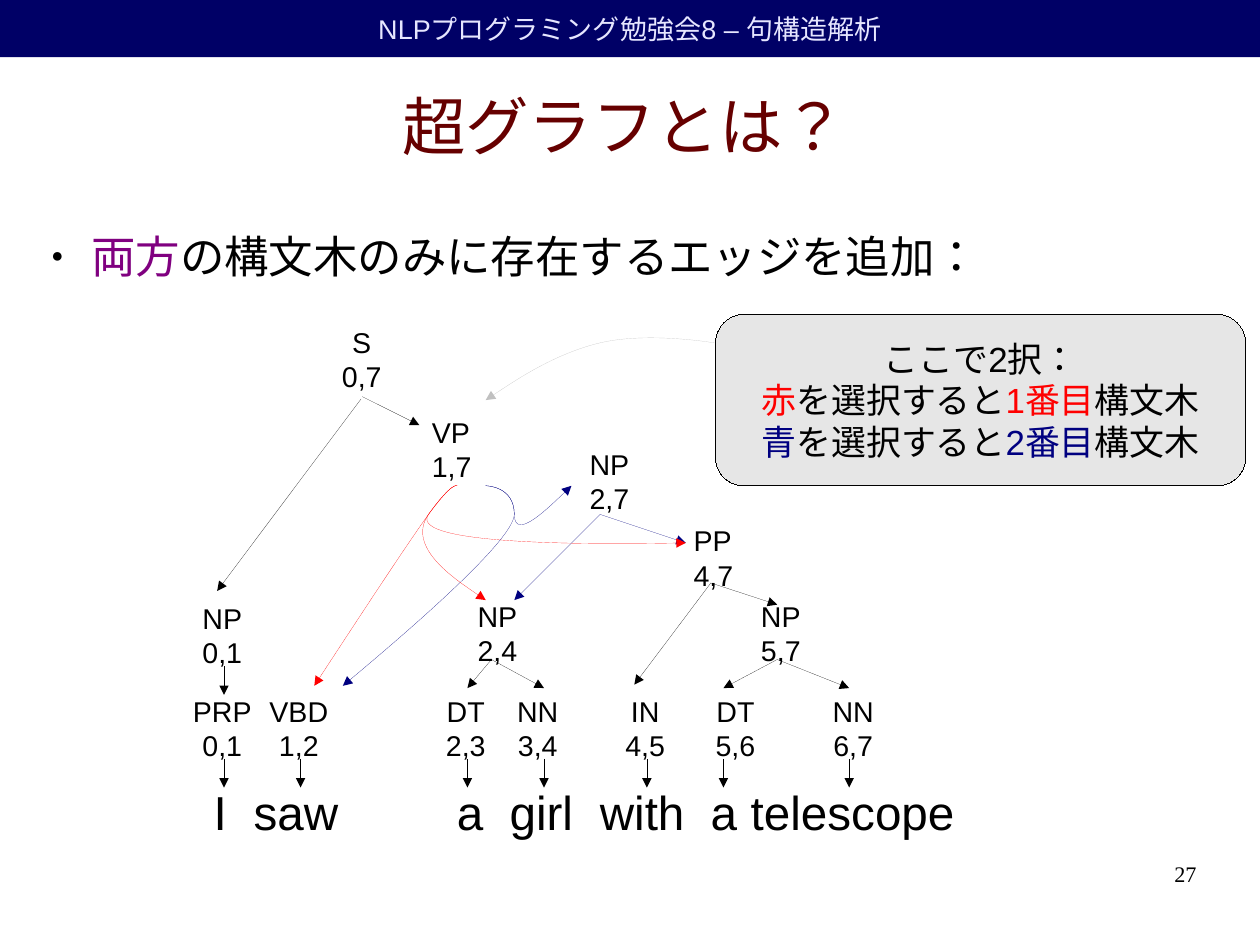
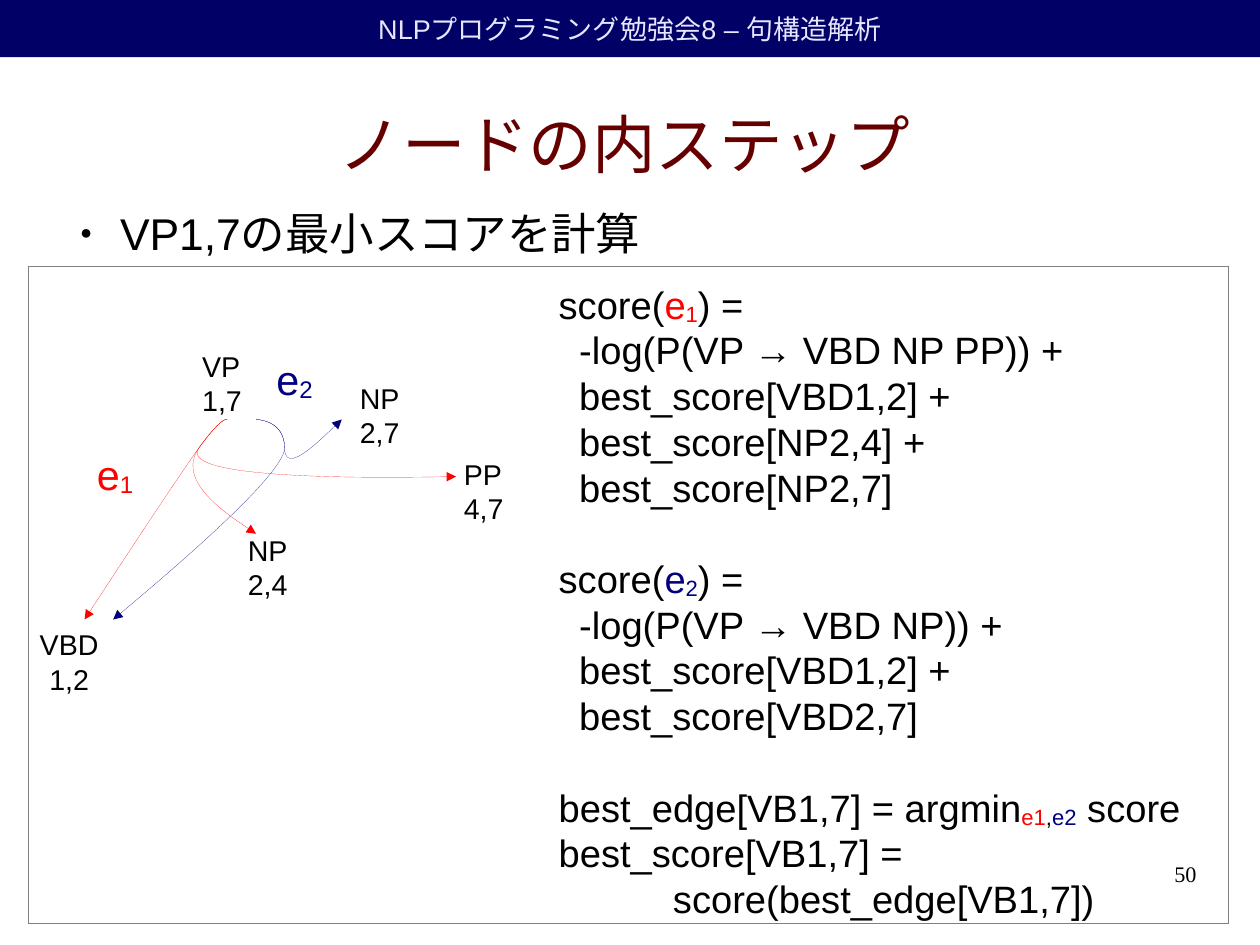
from dataclasses import dataclass
from typing import NamedTuple

from lxml.etree import SubElement
from pptx import Presentation
from pptx.dml.color import RGBColor
from pptx.enum.lang import MSO_LANGUAGE_ID
from pptx.enum.shapes import MSO_CONNECTOR, MSO_SHAPE
from pptx.enum.text import MSO_ANCHOR, MSO_AUTO_SIZE, PP_ALIGN
from pptx.oxml.ns import qn
from pptx.util import Emu, Pt

EMU_PER_PX = 9144
SLIDE_WIDTH, SLIDE_HEIGHT = Emu(10080625), Emu(7559675)


@dataclass(frozen=True)
class Theme:
    font: str = "Arial"
    number_font: str = "Times New Roman"
    black: str = "000000"
    red: str = "FF0000"
    navy: str = "000080"
    purple: str = "800080"
    silver: str = "C0C0C0"
    gray: str = "808080"
    pale: str = "E6E6E6"
    band: str = "000066"
    band_text: str = "E6E6FF"
    title: str = "660000"
    title_size: int = 40
    sentence_size: int = 30
    body_size: int = 28
    edge_name_size: int = 26
    code_size: int = 24
    callout_size: int = 22
    node_size: int = 18
    band_size: int = 17
    number_size: int = 14


THEME = Theme()


class Box(NamedTuple):
    left: int
    top: int
    width: int
    height: int


class Span(NamedTuple):
    text: str
    color: str | None = None
    subscript: bool = False


class Line(NamedTuple):
    spans: list[Span]
    indent: int = 0
    new_block: bool = False


class Node(NamedTuple):
    label: str
    extent: str
    left: int
    top: int
    align: PP_ALIGN = PP_ALIGN.CENTER


class Arrow(NamedTuple):
    start: tuple[int, int]
    tip: tuple[int, int]
    color: str = THEME.black


class Curve(NamedTuple):
    """Two joined Bezier halves that meet at middle."""
    color: str
    start: tuple[int, int]
    control_in: tuple[int, int]
    middle: tuple[int, int]
    control_out: tuple[int, int]
    tip: tuple[int, int]


LEFT = PP_ALIGN.LEFT
RED_START = ((400, 425), (396, 421), (375, 450))
BLUE_START = ((425, 425), (450, 425), (450, 450))
HYPEREDGES = [
    Curve(THEME.navy, *BLUE_START, (450, 475), (300, 600)),
    Curve(THEME.red, *RED_START, (354, 479), (275, 600)),
    Curve(THEME.red, *RED_START, (354, 480), (425, 525)),
    Curve(THEME.red, *RED_START, (354, 480), (600, 475)),
    Curve(THEME.navy, *BLUE_START, (450, 475), (500, 425)),
]
HYPEREDGE_NODES = [
    Node("VBD", "1,2", 226, 602),
    Node("NP", "2,4", 408, 519, LEFT),
    Node("PP", "4,7", 597, 453, LEFT),
    Node("VP", "1,7", 368, 358, LEFT),
    Node("NP", "2,7", 506, 386, LEFT),
]
TREE_NODES = [
    Node("PRP", "0,1", 159, 602),
    Node("DT", "2,3", 380, 602),
    Node("NN", "3,4", 443, 602),
    Node("IN", "4,5", 537, 602),
    Node("DT", "5,6", 616, 602),
    Node("NN", "6,7", 719, 602),
    Node("NP", "5,7", 656, 519, LEFT),
    Node("S", "0,7", 289, 279),
    Node("NP", "0,1", 167, 521),
]
WORD_ARROWS = [Arrow((x, 664), (x, 689)) for x in (196, 263, 409, 476, 566, 633, 743)]
TREE_ARROWS = [
    Arrow((680, 577), (633, 602)),
    Arrow((680, 577), (743, 602)),
    Arrow((430, 577), (409, 602)),
    Arrow((430, 577), (476, 602)),
    Arrow((622, 510), (555, 599)),
    Arrow((622, 510), (680, 529)),
    Arrow((317, 347), (367, 372)),
    Arrow((316, 349), (190, 517)),
    Arrow((196, 583), (196, 608)),
    Arrow((525, 450), (600, 475), THEME.navy),
    Arrow((525, 450), (450, 525), THEME.navy),
]


def px(count: int) -> Emu:
    return Emu(count * EMU_PER_PX)


def rgb(color: str) -> RGBColor:
    return RGBColor.from_string(color)


def place(shape, box: Box) -> None:
    shape.left, shape.top, shape.width, shape.height = map(px, box)


def write(frame, lines: list[Line], *, size: int, color: str = THEME.black,
          font: str = THEME.font, align: PP_ALIGN = LEFT, wrap: bool = False,
          inset: bool = True, anchor: MSO_ANCHOR = MSO_ANCHOR.TOP,
          leading: float | None = 1.2) -> None:
    frame.word_wrap = wrap
    frame.auto_size = MSO_AUTO_SIZE.NONE
    frame.vertical_anchor = anchor
    frame.margin_left = frame.margin_right = px(10 if inset else 0)
    frame.margin_top = frame.margin_bottom = px(5 if inset else 0)
    for index, line in enumerate(lines):
        para = frame.add_paragraph() if index else frame.paragraphs[0]
        para.alignment = align
        para.space_before = Pt(size * 1.2 if line.new_block else 0)
        if leading:
            para.line_spacing = Pt(size * leading)
        if line.indent:
            para._p.get_or_add_pPr().set("marL", str(px(line.indent)))
        for part in line.spans:
            span = para.add_run()
            span.text = part.text
            span.font.size, span.font.name = Pt(size), font
            span.font.language_id = MSO_LANGUAGE_ID.JAPANESE
            span.font.color.rgb = rgb(part.color or color)
            if part.subscript:
                span._r.get_or_add_rPr().set("baseline", "-8000")


def add_text(page, box: Box, lines: list[Line], **text_format):
    shape = page.shapes.add_textbox(*map(px, box))
    write(shape.text_frame, lines, **text_format)
    return shape


def add_panel(page, kind: MSO_SHAPE, box: Box, *, fill: str | None = None,
              line: str | None = None):
    shape = page.shapes.add_shape(kind, *map(px, box))
    shape.shadow.inherit = False
    if fill:
        shape.fill.solid()
        shape.fill.fore_color.rgb = rgb(fill)
    else:
        shape.fill.background()
    if line:
        style_line(shape, line)
    else:
        shape.line.fill.background()
    return shape


def style_line(shape, color: str, arrow: bool = False) -> None:
    """Draw a hairline; its zero width must be written out to override the theme."""
    shape.line.color.rgb = rgb(color)
    stroke = shape.line._get_or_add_ln()
    stroke.set("w", "0")
    if arrow:
        SubElement(stroke, qn("a:tailEnd"), type="triangle")


def add_arrow(page, arrow: Arrow) -> None:
    connector = page.shapes.add_connector(
        MSO_CONNECTOR.STRAIGHT, *map(px, arrow.start + arrow.tip))
    style_line(connector, arrow.color, arrow=True)
    SubElement(connector.element.spPr, qn("a:effectLst"))


def bezier(points: list[tuple[int, int]], t: float) -> tuple[int, int]:
    weights = ((1 - t) ** 3, 3 * t * (1 - t) ** 2, 3 * t * t * (1 - t), t ** 3)
    return tuple(round(sum(w * point[axis] for w, point in zip(weights, points)))
                 for axis in (0, 1))


def add_curve(page, curve: Curve, dx: int = 0, dy: int = 0) -> None:
    """Size the freeform by points on the curve, then give it true Bezier segments."""
    start, control_in, middle, control_out, tip = [
        (px(x + dx), px(y + dy)) for x, y in curve[1:]]
    halves = [[start, start, control_in, middle], [middle, control_out, tip, tip]]
    samples = [bezier(half, step / 16) for half in halves for step in range(1, 17)]
    builder = page.shapes.build_freeform(*start, scale=1.0)
    shape = builder.add_line_segments(samples, close=False).convert_to_shape()
    shape.shadow.inherit = False
    shape.fill.background()
    style_line(shape, curve.color, arrow=True)
    outline = shape.element.find(".//" + qn("a:path"))
    for segment in list(outline):
        outline.remove(segment)
    segments = [("a:moveTo", [start])] + [("a:cubicBezTo", half[1:]) for half in halves]
    for tag, points in segments:
        segment = SubElement(outline, qn(tag))
        for x, y in points:
            SubElement(segment, qn("a:pt"), x=str(x - shape.left), y=str(y - shape.top))


def add_node(page, node: Node, dx: int = 0, dy: int = 0) -> None:
    width = 71 if len(node.label) == 3 else 55
    add_text(page, Box(node.left + dx, node.top + dy, width, 66),
             [Line([Span(node.label)]), Line([Span(node.extent)])],
             size=THEME.node_size, align=node.align)


def add_hyperedges(page, dx: int = 0, dy: int = 0) -> None:
    for node in HYPEREDGE_NODES:
        add_node(page, node, dx, dy)
    for curve in HYPEREDGES:
        add_curve(page, curve, dx, dy)


def add_page(deck, title: str, title_top: int, bullet: list[Span], body: Box, number: int):
    page = deck.slides.add_slide(deck.slide_layouts[1])
    heading, content = page.shapes.title, page.placeholders[1]
    place(heading, Box(50, title_top, 992, 127))
    write(heading.text_frame, [Line([Span(title)])], size=THEME.title_size,
          color=THEME.title, align=PP_ALIGN.CENTER, anchor=MSO_ANCHOR.MIDDLE,
          wrap=True, inset=False, leading=None)
    place(content, body)
    properties = content.text_frame.paragraphs[0]._p.get_or_add_pPr()
    properties.set("indent", str(px(-35)))
    SubElement(SubElement(properties, qn("a:buClr")), qn("a:srgbClr"), val=THEME.black)
    SubElement(properties, qn("a:buSzPct"), val="45000")
    SubElement(properties, qn("a:buFont"), typeface=THEME.font)
    SubElement(properties, qn("a:buChar"), char="●")
    write(content.text_frame, [Line(bullet, indent=47)], size=THEME.body_size,
          wrap=True, inset=False, leading=None)
    add_text(page, Box(790, 753, 257, 57), [Line([Span(str(number))])],
             size=THEME.number_size, font=THEME.number_font, align=PP_ALIGN.RIGHT,
             wrap=True, inset=False)
    return page


def move_band_to_master(deck, page) -> None:
    band = add_panel(page, MSO_SHAPE.RECTANGLE, Box(0, 0, 1102, 50), fill=THEME.band)
    band.width = SLIDE_WIDTH
    write(band.text_frame, [Line([Span("NLPプログラミング勉強会8 – 句構造解析")])],
          size=THEME.band_size, color=THEME.band_text, align=PP_ALIGN.CENTER,
          anchor=MSO_ANCHOR.MIDDLE, wrap=True, leading=None)
    deck.slide_master.shapes.element.append(band.element)


def add_sentence(page) -> None:
    words = ["I", "saw", "a", "girl", "with", "a", "telescope"]
    shape = add_text(page, Box(177, 680, 668, 57), [Line([Span("\t".join(words))])],
                     size=THEME.sentence_size)
    properties = shape.text_frame.paragraphs[0]._p.get_or_add_pPr()
    tabs = SubElement(properties, qn("a:tabLst"))
    for stop in (35, 213, 259, 338, 435, 470):
        SubElement(tabs, qn("a:tab"), pos=str(px(stop)), algn="l")


def add_callout(page) -> None:
    callout = add_panel(page, MSO_SHAPE.ROUNDED_RECTANGLE, Box(626, 275, 464, 150),
                        fill=THEME.pale, line=THEME.black)
    callout.adjustments[0] = 0.167
    choices = [("赤", "1番目", THEME.red), ("青", "2番目", THEME.navy)]
    lines = [Line([Span(name, color), Span("を選択すると"), Span(tree, color), Span("構文木")])
             for name, tree, color in choices]
    write(callout.text_frame, [Line([Span("ここで2択：")])] + lines,
          size=THEME.callout_size, align=PP_ALIGN.CENTER, anchor=MSO_ANCHOR.MIDDLE)


def score_lines(index: str, color: str, rule: str, scores: list[str]) -> list[Line]:
    head = Line([Span("score("), Span("e", color), Span(index, color, True), Span(") =")],
                new_block=index != "1")
    terms = [f"-log(P(VP → {rule})) +"] + scores
    return [head] + [Line([Span(term)], indent=18) for term in terms]


def add_scores(page) -> None:
    lines = score_lines("1", THEME.red, "VBD NP PP", [
        "best_score[VBD1,2] +", "best_score[NP2,4] +", "best_score[NP2,7]"])
    lines += score_lines("2", THEME.navy, "VBD NP", [
        "best_score[VBD1,2] +", "best_score[VBD2,7]"])
    lines += [
        Line([Span("best_edge[VB1,7] = argmin"), Span("e1", THEME.red, True),
              Span(",", None, True), Span("e2", THEME.navy, True), Span(" score")],
             new_block=True),
        Line([Span("best_score[VB1,7] =")]),
        Line([Span("score(best_edge[VB1,7])")], indent=100),
    ]
    add_text(page, Box(479, 241, 564, 568), lines, size=THEME.code_size)


def main() -> None:
    deck = Presentation()
    deck.slide_width, deck.slide_height = SLIDE_WIDTH, SLIDE_HEIGHT

    graph = add_page(deck, "超グラフとは？", 46,
                     [Span("両方", THEME.purple), Span("の構文木のみに存在するエッジを追加：")],
                     Box(33, 200, 892, 56), 27)
    move_band_to_master(deck, graph)
    add_sentence(graph)
    for arrow in WORD_ARROWS + TREE_ARROWS:
        add_arrow(graph, arrow)
    for node in TREE_NODES:
        add_node(graph, node)
    add_hyperedges(graph)
    add_curve(graph, Curve(THEME.silver, (625, 300), (567, 290), (525, 300),
                           (483, 310), (425, 350)))
    add_callout(graph)

    step = add_page(deck, "ノードの内ステップ", 62, [Span("VP1,7の最小スコアを計算")],
                    Box(58, 180, 992, 56), 50)
    add_hyperedges(step, -201, -58)
    add_scores(step)
    for index, color, left, top in (("1", THEME.red, 75, 388), ("2", THEME.navy, 232, 305)):
        add_text(step, Box(left, top, 52, 62), [Line([Span("e"), Span(index, None, True)])],
                 size=THEME.edge_name_size, color=color)
    add_panel(step, MSO_SHAPE.RECTANGLE, Box(25, 233, 1050, 575), line=THEME.gray)

    deck.save("out.pptx")


if __name__ == "__main__":
    main()
